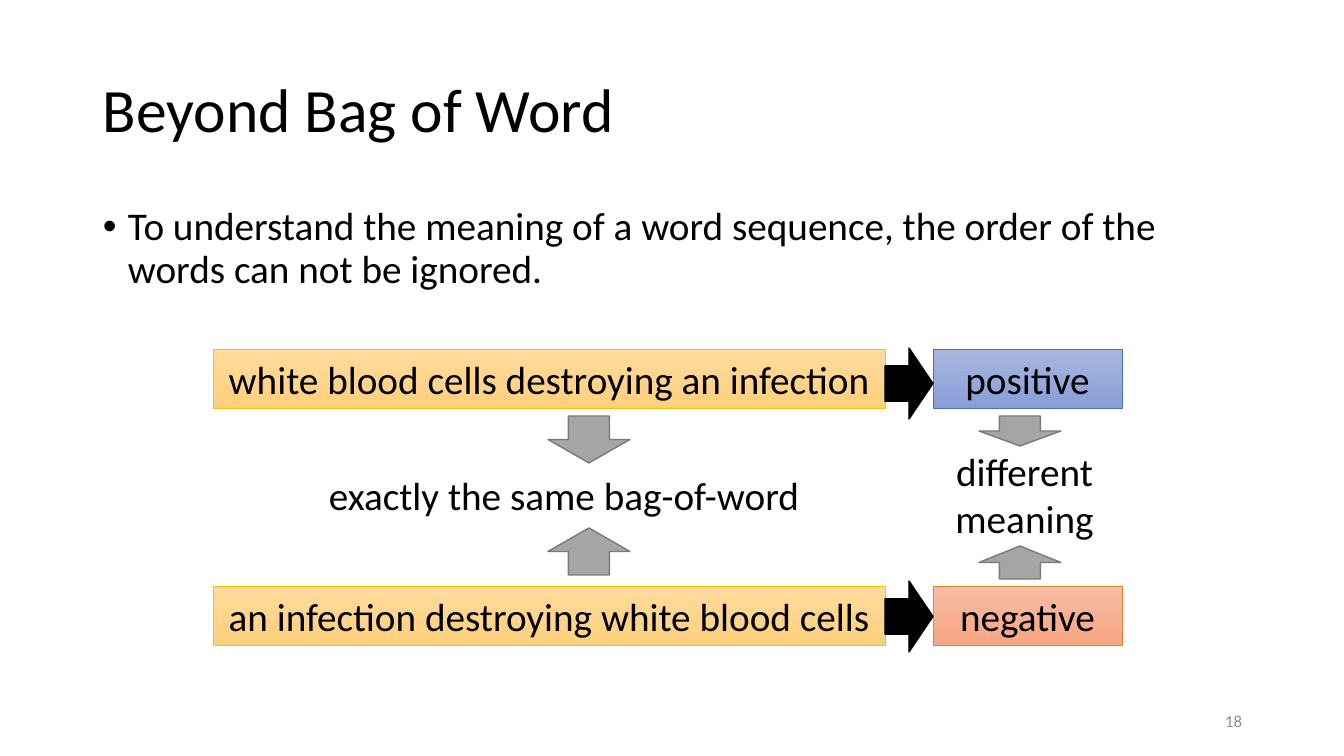
from pptx import Presentation
from pptx.dml.color import RGBColor
from pptx.enum.shapes import MSO_SHAPE
from pptx.enum.text import MSO_ANCHOR, PP_ALIGN
from pptx.oxml.ns import qn
from pptx.util import Emu, Pt
from lxml import etree

EMU_PER_PIXEL = 914400 / 100.8
COLORS = {
    "text": "000000", "number": "8C8C8C", "black": "000000",
    "gray": "A5A5A5", "gray_line": "7A7A7A",
    "gold_top": "FFDB9E", "gold_bottom": "FFD07C", "gold_line": "FFC000",
    "blue_top": "A8B7DF", "blue_bottom": "889ED7", "blue_line": "4472C4",
    "orange_top": "F7BDA5", "orange_bottom": "F8A582", "orange_line": "ED7D31",
}


def px(value):
    return Emu(round(value * EMU_PER_PIXEL))


def color(name):
    return RGBColor.from_string(COLORS[name])


class SlideBuilder:
    font = "Calibri"
    body_size = 28

    def __init__(self, slide):
        self.slide = slide

    def set_text(self, shape, lines, size=body_size, ink="text",
                 align=PP_ALIGN.CENTER, anchor=MSO_ANCHOR.MIDDLE, spacing=1.0):
        frame = shape.text_frame
        frame.word_wrap = True
        frame.vertical_anchor = anchor
        for index, line in enumerate(lines):
            paragraph = frame.add_paragraph() if index else frame.paragraphs[0]
            paragraph.alignment = align
            paragraph.line_spacing = spacing
            run = paragraph.add_run()
            run.text = line
            run.font.name = self.font
            run.font.size = Pt(size)
            run.font.color.rgb = color(ink)

    def text(self, box, *lines, **style):
        shape = self.slide.shapes.add_textbox(*map(px, box))
        self.set_text(shape, lines, **style)
        return shape

    def bullet(self, box, line):
        shape = self.text(box, line, align=PP_ALIGN.LEFT,
                          anchor=MSO_ANCHOR.TOP, spacing=0.9)
        paragraph = shape.text_frame.paragraphs[0]
        paragraph.space_before = Pt(10)
        properties = paragraph._p.get_or_add_pPr()
        properties.set("marL", str(px(25)))
        properties.set("indent", str(-px(25)))
        etree.SubElement(properties, qn("a:buFont")).set("typeface", "Arial")
        etree.SubElement(properties, qn("a:buChar")).set("char", "•")

    def shape(self, kind, box, line, width):
        shape = self.slide.shapes.add_shape(kind, *map(px, box))
        shape.shadow.inherit = False
        shape.line.color.rgb = color(line)
        shape.line.width = Pt(width)
        return shape

    def label(self, box, line, hue):
        shape = self.shape(MSO_SHAPE.RECTANGLE, box, f"{hue}_line", 0.5)
        shape.fill.gradient()
        shape.fill.gradient_angle = 270
        for stop, end in zip(shape.fill.gradient_stops, ("top", "bottom")):
            stop.color.rgb = color(f"{hue}_{end}")
        self.set_text(shape, [line])

    def arrow(self, kind, box, fill, line):
        shape = self.shape(kind, box, line, 1)
        shape.fill.solid()
        shape.fill.fore_color.rgb = color(fill)


prs = Presentation()
prs.slide_width, prs.slide_height = px(1344), px(756)
page = SlideBuilder(prs.slides.add_slide(prs.slide_layouts[6]))

page.text((93, 40, 1159, 146), "Beyond Bag of Word", size=44,
          align=PP_ALIGN.LEFT, spacing=0.9)
page.bullet((93, 202, 1159, 480),
            "To understand the meaning of a word sequence, "
            "the order of the words can not be ignored.")

sentences = [
    (349, 348, "white blood cells destroying an infection", "positive", "blue"),
    (586, 581, "an infection destroying white blood cells", "negative", "orange"),
]
for top, arrow_top, sentence, sentiment, hue in sentences:
    page.label((213, top, 672, 59), sentence, "gold")
    page.label((933, top, 189, 59), sentiment, hue)
    page.arrow(MSO_SHAPE.RIGHT_ARROW, (885, arrow_top, 48, 71), "black", "black")

page.text((317, 466, 494, 57), "exactly the same bag-of-word",
          anchor=MSO_ANCHOR.TOP)
page.text((918, 442, 213, 105), "different", "meaning", anchor=MSO_ANCHOR.TOP)

for left, down_height, up_top, up_height in [(548, 47, 528, 47), (979, 30, 546, 33)]:
    page.arrow(MSO_SHAPE.DOWN_ARROW, (left, 416, 82, down_height), "gray", "gray_line")
    page.arrow(MSO_SHAPE.UP_ARROW, (left, up_top, 82, up_height), "gray", "gray_line")

page.text((950, 701, 302, 40), "18", size=12, ink="number", align=PP_ALIGN.RIGHT)

prs.save("out.pptx")
